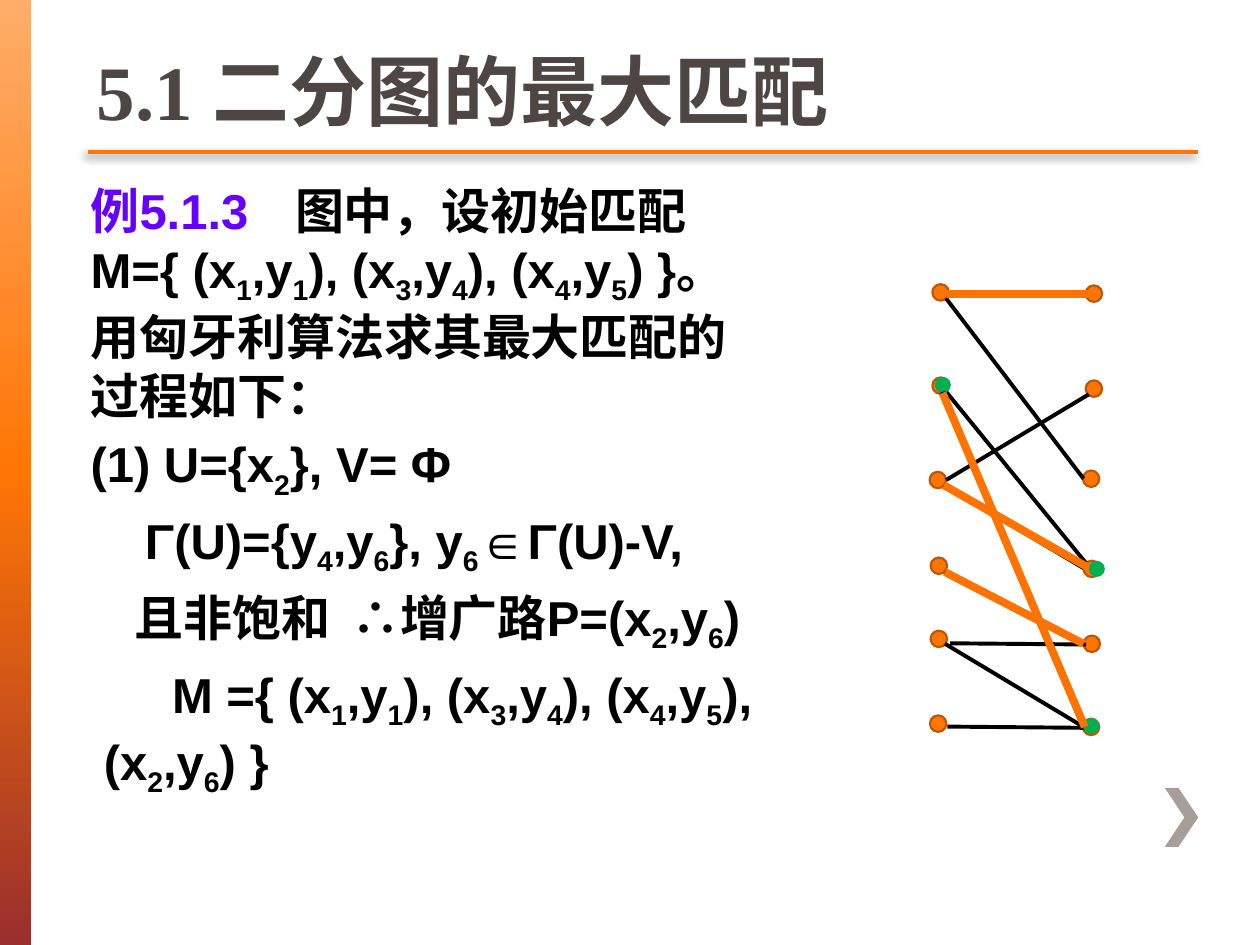
from copy import deepcopy
from dataclasses import dataclass

from lxml import etree
from pptx import Presentation
from pptx.dml.color import RGBColor
from pptx.enum.shapes import MSO_CONNECTOR, MSO_SHAPE
from pptx.enum.text import MSO_ANCHOR, MSO_AUTO_SIZE, PP_ALIGN
from pptx.oxml.ns import qn
from pptx.util import Pt

STRAIGHT = MSO_CONNECTOR.STRAIGHT
OVAL, RECTANGLE = MSO_SHAPE.OVAL, MSO_SHAPE.RECTANGLE
TOP, BOTTOM = MSO_ANCHOR.TOP, MSO_ANCHOR.BOTTOM
LEFT = PP_ALIGN.LEFT
NO_AUTOFIT = MSO_AUTO_SIZE.NONE


@dataclass(frozen=True)
class Theme:
    """Colours, fonts and sizes of the slide."""
    accent: str = "FF7605"
    node_line: str = "BD5704"
    matching: str = "FE7300"
    visited: str = "00B050"
    search: str = "0000CC"
    ink: str = "000000"
    title: str = "4D4643"
    example: str = "6600FF"
    chevron: str = "A79D99"
    sidebar: tuple = ("FFAD69", "FF7605", "9A2F2C")
    font: str = "Arial"
    number_font: str = "Times New Roman"
    title_size: float = 44
    body_size: float = 28
    space_before: float = 5.6


THEME = Theme()
NODE_SIZE, VISITED_SIZE = 9.4, 7.9

X_NODES = [(532.8, 162.4), (532.8, 215.7), (531.2, 269.6),
           (531.8, 318.6), (531.8, 360.4), (531.4, 408.8)]
Y_NODES = [(620.4, 163.1), (620.4, 217.4), (618.8, 268.9),
           (619.2, 320.4), (619.2, 363.2), (618.8, 410.7)]
VISITED_NODES = [(534.8, 216), (619.6, 410.9), (622.8, 321.1)]
EDGES = [
    (542.2, 167, 620.6, 167.8), (540.7, 274.3, 622.1, 225.4),
    (540.7, 170.6, 619.2, 273.6), (542.9, 367.6, 620.6, 368.3),
    (541.4, 415.2, 619.2, 415.9), (539.3, 277.2, 619.2, 324.7),
    (540.7, 223.9, 620.6, 321.8), (540, 326.9, 619.2, 367.9),
    (540, 367.9, 619.2, 415.4), (537.8, 224.6, 619.2, 415.4),
]
MATCHED_EDGES = [(541.4, 167.8, 625, 167.8), (539.3, 277.2, 626.4, 326.9),
                 (540, 326.9, 619.2, 367.9)]
SEARCH_EDGE = (538.6, 223.9, 619.2, 415.4)
AUGMENTING_EDGE = (538.6, 224.6, 619.9, 415.4)
CHEVRON = [(673.4, 450.2), (665.6, 450.2), (676.8, 467.1),
           (665.6, 484), (673.4, 484), (684.7, 467.1)]

EXAMPLE_LABEL = "例5.1.3"
MATCHING = "{ (x_1,y_1), (x_3,y_4), (x_4,y_5)"
GAP = "|"
BODY = [
    (f"|图中，设初始匹配M={MATCHING} }}。用匈牙利算法求其最大匹配的过程如下：", 0, 0, 18.9),
    ("(1) U={x_2}, V= Φ", 0, 0, 0),
    ("Γ(U)={y_4,y_6}, y_6∈Γ(U)-V,", 0, 31, 0),
    ("且非饱和|∴增广路P=(x_2,y_6)", 0, 25, 5.7),
    (f"M ={MATCHING}, (x_2,y_6) }}", 7.5, 39, 0),
]


def color(value):
    """Turn a hex string into a colour."""
    return RGBColor.from_string(value)


def place(shape, left, top, width, height):
    """Move and size a shape."""
    shape.left, shape.top = Pt(left), Pt(top)
    shape.width, shape.height = Pt(width), Pt(height)


def add_line(slide, ends, line_color, width):
    """Add a straight line without a shadow and return its effect list."""
    line = slide.shapes.add_connector(STRAIGHT, *map(Pt, ends))
    line.line.color.rgb = color(line_color)
    line.line.width = Pt(width)
    return etree.SubElement(line._element.spPr, qn("a:effectLst"))


def add_divider(slide):
    """Add the rule under the title with its soft shadow."""
    effects = add_line(slide, (50.4, 86.8, 684.7, 86.8), THEME.accent, 2.5)
    shadow = etree.SubElement(
        effects, qn("a:outerShdw"), blurRad=str(Pt(5)), dist=str(Pt(3)),
        dir="8100000", rotWithShape="0")
    shade = etree.SubElement(shadow, qn("a:srgbClr"), val=THEME.ink)
    etree.SubElement(shade, qn("a:alpha"), val="45000")


def add_node(slide, corner, size, fill_color, line_color):
    """Add one round vertex."""
    node = slide.shapes.add_shape(OVAL, *map(Pt, (*corner, size, size)))
    node.shadow.inherit = False
    node.fill.solid()
    node.fill.fore_color.rgb = color(fill_color)
    node.line.color.rgb = color(line_color)
    node.line.width = Pt(1.25)


def add_sidebar(slide):
    """Add the gradient band on the left edge."""
    band = slide.shapes.add_shape(RECTANGLE, 0, 0, Pt(18), Pt(540))
    band.shadow.inherit = False
    band.line.fill.background()
    band.fill.gradient()
    band.fill.gradient_angle = 270
    stop_list = band._element.spPr.find(".//" + qn("a:gsLst"))
    stop_list.append(deepcopy(stop_list[0]))
    for index, stop in enumerate(band.fill.gradient_stops):
        stop.position = index / 2
        stop.color.rgb = color(THEME.sidebar[index])


def add_chevron(slide):
    """Add the chevron at the lower right."""
    builder = slide.shapes.build_freeform(*map(Pt, CHEVRON[0]))
    builder.add_line_segments([(Pt(x), Pt(y)) for x, y in CHEVRON[1:]])
    chevron = builder.convert_to_shape()
    chevron.shadow.inherit = False
    chevron.fill.solid()
    chevron.fill.fore_color.rgb = color(THEME.chevron)
    chevron.line.fill.background()


def add_run(paragraph, text, font, size, text_color):
    """Add one bold run and return its properties element."""
    run = paragraph.add_run()
    run.text = text
    run.font.name, run.font.size, run.font.bold = font, Pt(size), True
    run.font.color.rgb = color(text_color)
    return run._r.get_or_add_rPr()


def add_body_run(paragraph, text):
    """Add one run in the body style and return its properties element."""
    return add_run(paragraph, text, THEME.font, THEME.body_size, THEME.ink)


def add_formula(paragraph, text):
    """Add text in which an underscore lowers the next character."""
    first, *rest = text.split("_")
    if first:
        add_body_run(paragraph, first)
    for piece in rest:
        add_body_run(paragraph, piece[0]).set("baseline", "-25000")
        add_body_run(paragraph, piece[1:])


def add_spaced_formula(paragraph, text, gap):
    """Add formula text, with one widened space at the gap mark."""
    before, mark, after = text.partition(GAP)
    add_formula(paragraph, before)
    if mark:
        add_body_run(paragraph, " ").set("spc", str(round(gap * 100)))
        add_formula(paragraph, after)


def format_paragraph(paragraph, margin, indent):
    """Remove the bullet and set the indents."""
    properties = paragraph._p.get_or_add_pPr()
    properties.set("marL", str(Pt(margin)))
    properties.set("indent", str(Pt(indent)))
    etree.SubElement(properties, qn("a:buNone"))
    paragraph.alignment = LEFT


def fill_title(title):
    """Write the slide title."""
    place(title, 48.2, 0, 634.3, 81)
    frame = title.text_frame
    frame.vertical_anchor, frame.auto_size = BOTTOM, NO_AUTOFIT
    paragraph = frame.paragraphs[0]
    paragraph.alignment = LEFT
    for text, font in (("5.1 ", THEME.number_font), ("二分图的最大匹配", THEME.font)):
        add_run(paragraph, text, font, THEME.title_size, THEME.title)


def fill_body(body):
    """Write the worked example."""
    place(body, 44.6, 99.6, 403.9, 339.8)
    frame = body.text_frame
    frame.vertical_anchor, frame.auto_size = TOP, NO_AUTOFIT
    for index, (text, margin, indent, gap) in enumerate(BODY):
        paragraph = frame.add_paragraph() if index else frame.paragraphs[0]
        format_paragraph(paragraph, margin, indent)
        paragraph.space_before = Pt(THEME.space_before if index else 0)
        if not index:
            add_run(paragraph, EXAMPLE_LABEL, THEME.font, THEME.body_size, THEME.example)
        add_spaced_formula(paragraph, text, gap)


def add_graph(slide):
    """Draw the bipartite graph with its matching and augmenting path."""
    for corner in X_NODES + Y_NODES:
        add_node(slide, corner, NODE_SIZE, THEME.accent, THEME.node_line)
    for ends in EDGES:
        add_line(slide, ends, THEME.ink, 2.25)
    for ends in MATCHED_EDGES:
        add_line(slide, ends, THEME.matching, 4.5)
    for corner in VISITED_NODES:
        add_node(slide, corner, VISITED_SIZE, THEME.visited, THEME.visited)
    add_line(slide, SEARCH_EDGE, THEME.search, 3)
    add_line(slide, AUGMENTING_EDGE, THEME.matching, 4.5)


def main():
    """Build and save the slide."""
    presentation = Presentation()
    presentation.slide_width, presentation.slide_height = Pt(720), Pt(540)
    slide = presentation.slides.add_slide(presentation.slide_layouts[1])
    add_sidebar(slide)
    add_chevron(slide)
    add_divider(slide)
    fill_title(slide.shapes.title)
    fill_body(slide.placeholders[1])
    add_graph(slide)
    presentation.save("out.pptx")


if __name__ == "__main__":
    main()
